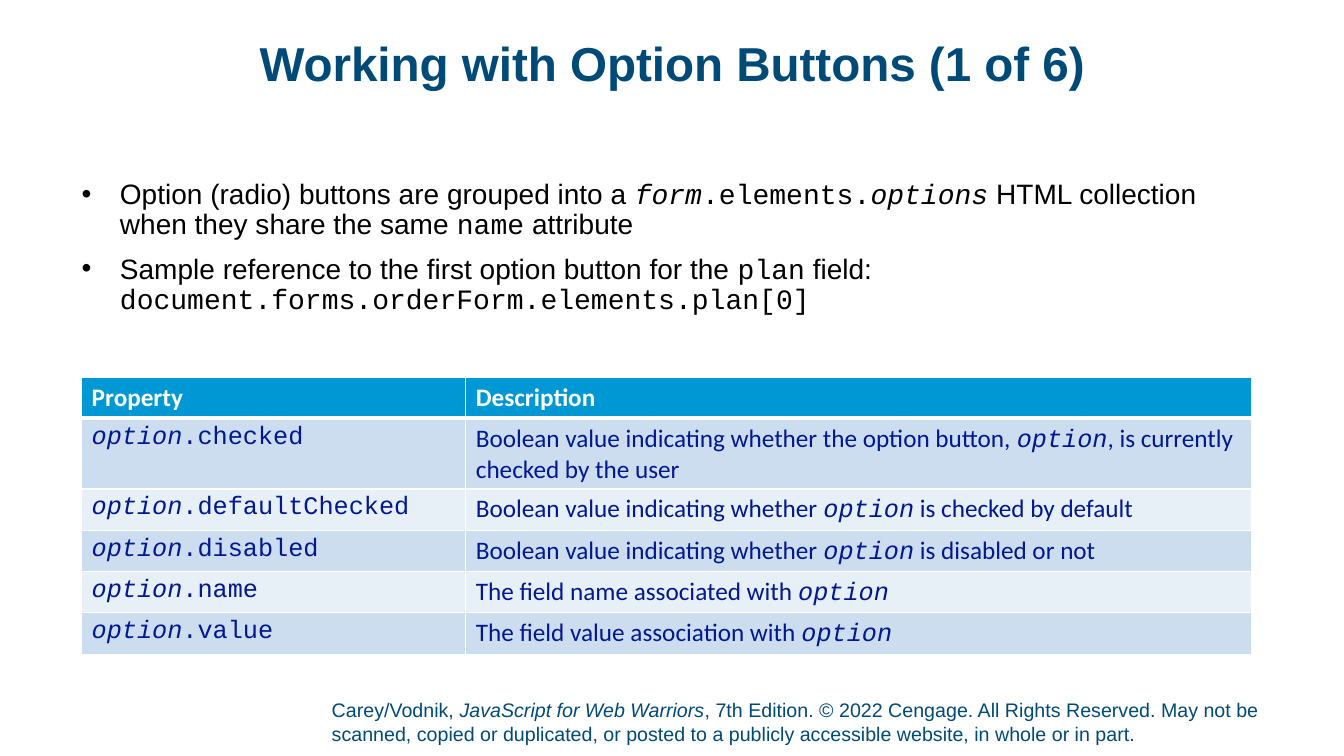
from lxml.etree import SubElement
from pptx import Presentation
from pptx.dml.color import RGBColor as Color
from pptx.enum.text import MSO_ANCHOR as Anchor, PP_ALIGN as Align
from pptx.oxml.ns import qn
from pptx.util import Inches, Pt

# Content: each text is a list of (words, style) spans
TITLE = "Working with Option Buttons (1 of 6)"
BULLETS = [
    [("Option (radio) buttons are grouped into a ", "plain"),
     ("form", "variable"), (".elements.", "code"), ("options", "variable"),
     (" HTML collection when they share the same ", "plain"),
     ("name", "code"), (" attribute", "plain")],
    [("Sample reference to the first option button for the ", "plain"),
     ("plan", "code"), (" field:", "plain"), ("\n", "break"),
     ("document.forms.orderForm.elements.plan[0]", "code")],
]
HEADINGS = ["Property", "Description"]
# Property, words before "option", words after it
PROPERTIES = [
    ("checked", "Boolean value indicating whether the option button, ",
     ", is currently checked by the user"),
    ("defaultChecked", "Boolean value indicating whether ", " is checked by default"),
    ("disabled", "Boolean value indicating whether ", " is disabled or not"),
    ("name", "The field name associated with ", ""),
    ("value", "The field value association with ", ""),
]
FOOTER = [
    ("Carey/Vodnik, ", "plain"),
    ("JavaScript for Web Warriors", "italic"),
    (", 7th Edition. © 2022 Cengage. All Rights Reserved. May not be scanned, "
     "copied or duplicated, or posted to a publicly accessible website, "
     "in whole or in part.", "plain"),
]

THEME = {
    "title": {"name": "Arial", "size": Pt(34), "bold": True, "color": "004A78"},
    "body": {"name": "Arial", "size": Pt(20), "color": "000000"},
    "heading": {"name": "Calibri", "size": Pt(18), "bold": True, "color": "FFFFFF"},
    "cell": {"name": "Calibri", "size": Pt(18), "bold": False, "color": "011892"},
    "footer": {"name": "Arial", "size": Pt(14), "color": "004A78"},
    "styles": {
        "plain": {},
        "italic": {"italic": True},
        "code": {"name": "Courier New"},
        "variable": {"name": "Courier New", "italic": True},
    },
    "heading_fill": "0098D4",
    "bands": ["CCDDEF", "E7EFF7"],
    "border": "FFFFFF",
}
COLUMNS = [3.81, 7.79]
ROW_HEIGHT = 0.41
INDENT = 0.38


def set_font(font, values):
    for key, value in values.items():
        if key == "color":
            font.color.rgb = Color.from_string(value)
        else:
            setattr(font, key, value)


def write(para, spans, role):
    for words, style in spans:
        if style == "break":
            para.add_line_break()
            continue
        span = para.add_run()
        span.text = words
        set_font(span.font, THEME[role] | THEME["styles"][style])


def place(box, left, top, width, height):
    box.left, box.top = Inches(left), Inches(top)
    box.width, box.height = Inches(width), Inches(height)


def set_frame(frame, anchor, bottom=0):
    values = {"word_wrap": True, "vertical_anchor": anchor, "margin_left": 0,
              "margin_top": 0, "margin_right": 0, "margin_bottom": Inches(bottom)}
    for key, value in values.items():
        setattr(frame, key, value)


def add_bullet(para):
    props = para._p.get_or_add_pPr()
    props.set("marL", str(Inches(INDENT)))
    props.set("indent", str(-Inches(INDENT)))
    color = SubElement(props, qn("a:buClr"))
    SubElement(color, qn("a:srgbClr"), val=THEME["body"]["color"])
    SubElement(props, qn("a:buFont"), typeface="Arial")
    SubElement(props, qn("a:buChar"), char="•")


def format_cell(cell, fill, bottom_width):
    props = cell._tc.get_or_add_tcPr()
    for side, width in (("L", 1), ("R", 1), ("T", 1), ("B", bottom_width)):
        line = SubElement(props, qn(f"a:ln{side}"), w=str(Pt(width)))
        solid = SubElement(line, qn("a:solidFill"))
        SubElement(solid, qn("a:srgbClr"), val=THEME["border"])
    cell.fill.solid()
    cell.fill.fore_color.rgb = Color.from_string(fill)


deck = Presentation()
deck.slide_width, deck.slide_height = Inches(13.33), Inches(7.5)
page = deck.slides.add_slide(deck.slide_layouts[5])

# Footer
box = page.shapes.add_textbox(0, 0, 0, 0)
place(box, 3.29, 6.92, 9.79, 0.52)
set_frame(box.text_frame, Anchor.BOTTOM, 0.05)
write(box.text_frame.paragraphs[0], FOOTER, "footer")

# Title
title = page.shapes.title
place(title, 0.92, 0.4, 11.5, 0.74)
set_frame(title.text_frame, Anchor.TOP)
para = title.text_frame.paragraphs[0]
para.alignment, para.line_spacing = Align.CENTER, 0.9
write(para, [(TITLE, "plain")], "title")

# Bullets
box = page.shapes.add_textbox(0, 0, 0, 0)
place(box, 0.81, 1.79, 11.71, 1.67)
set_frame(box.text_frame, Anchor.TOP)
for index, spans in enumerate(BULLETS):
    para = box.text_frame.add_paragraph() if index else box.text_frame.paragraphs[0]
    para.line_spacing = 0.9
    para.space_before = Pt(10 if index else 0)
    add_bullet(para)
    set_font(para.font, THEME["body"])
    write(para, spans, "body")

# Property table
rows = [[[(heading, "plain")] for heading in HEADINGS]]
for name, before, after in PROPERTIES:
    description = [(before, "plain"), ("option", "variable")]
    if after:
        description.append((after, "plain"))
    rows.append([[("option", "variable"), (f".{name}", "code")], description])

table = page.shapes.add_table(
    len(rows), len(COLUMNS), Inches(0.81), Inches(3.74),
    Inches(sum(COLUMNS)), Inches(ROW_HEIGHT * len(rows))).table
for column, width in zip(table.columns, COLUMNS):
    column.width = Inches(width)
for r, row in enumerate(rows):
    table.rows[r].height = Inches(ROW_HEIGHT)
    fill = THEME["bands"][(r - 1) % 2] if r else THEME["heading_fill"]
    for c, spans in enumerate(row):
        cell = table.cell(r, c)
        format_cell(cell, fill, 1 if r else 3)
        write(cell.text_frame.paragraphs[0], spans, "cell" if r else "heading")
        if r == 1:
            top_line = cell._tc.tcPr.find(qn("a:lnT"))
            top_line.set("w", str(Pt(3)))

deck.save("out.pptx")
